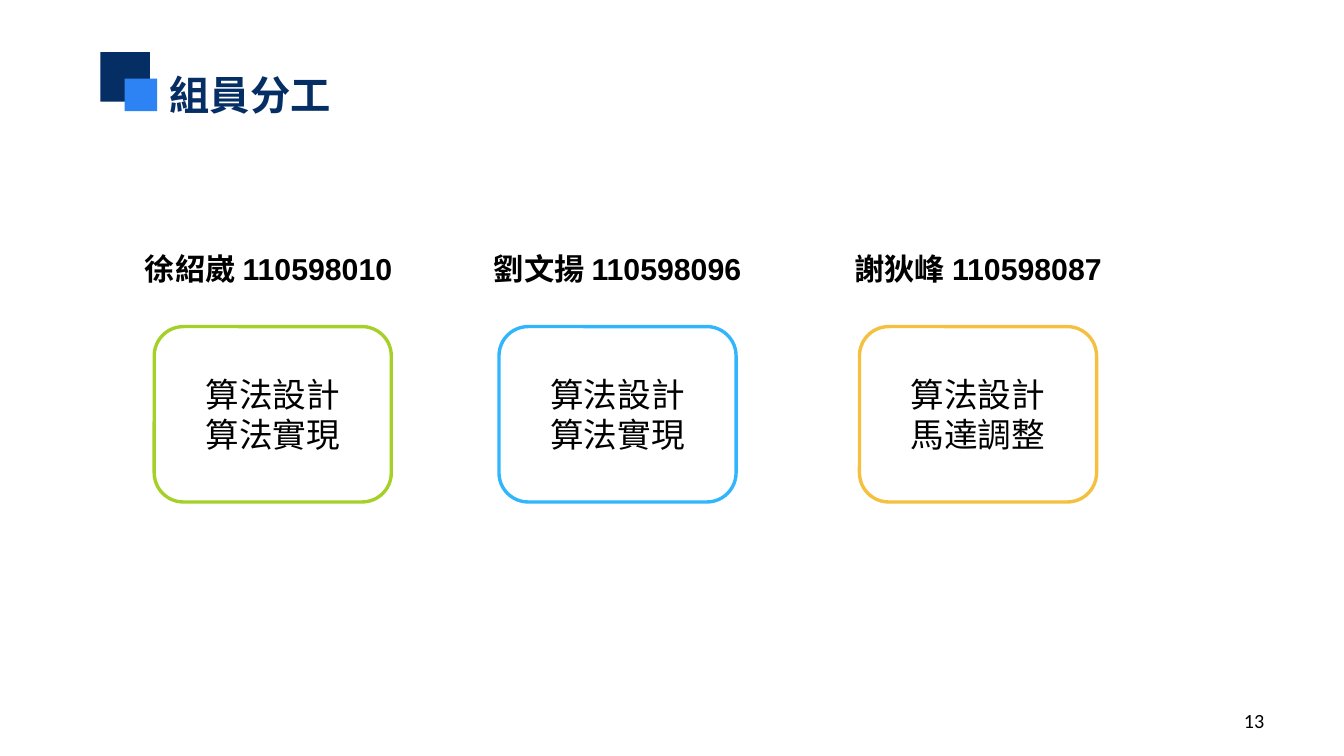
import pptx
import pptx.dml.color
import pptx.enum.shapes
import pptx.enum.text
import pptx.oxml.ns
import pptx.util
from lxml import etree

Inches = pptx.util.Inches
ALIGN = pptx.enum.text.PP_ALIGN
ANCHOR = pptx.enum.text.MSO_ANCHOR
SHAPES = pptx.enum.shapes.MSO_SHAPE
EAST_ASIAN_FONT = "Noto Sans CJK SC"
NAVY, BLUE, WHITE, BLACK = "052E65", "2D83F4", "FFFFFF", "000000"


def color(value):
    """Turn a hex string into a colour."""
    return pptx.dml.color.RGBColor.from_string(value)


def write(shape, text, size, font, ink=BLACK, bold=False,
          align=ALIGN.LEFT, anchor=ANCHOR.TOP, before=0):
    """Fill a shape with one formatted paragraph."""
    frame = shape.text_frame
    frame.text = text
    frame.word_wrap = True
    frame.vertical_anchor = anchor
    paragraph = frame.paragraphs[0]
    paragraph.alignment = align
    paragraph.space_before = pptx.util.Pt(before)
    for run in paragraph.runs:
        run.font.size = pptx.util.Pt(size)
        run.font.bold = bold
        run.font.color.rgb = color(ink)
        run.font.name = font
        properties = run.font._element
        etree.SubElement(properties, pptx.oxml.ns.qn("a:ea"), typeface=EAST_ASIAN_FONT)


def add_box(slide, kind, left, top, width, height, fill, line=None):
    """Add a flat preset shape with an optional outline."""
    shape = slide.shapes.add_shape(
        kind, Inches(left), Inches(top), Inches(width), Inches(height))
    shape.shadow.inherit = False
    shape.fill.solid()
    shape.fill.fore_color.rgb = color(fill)
    if line:
        shape.line.color.rgb = color(line)
        shape.line.width = pptx.util.Pt(2)
    else:
        shape.line.fill.background()
    return shape


def add_text(slide, left, top, width, height, text, **style):
    """Add a wrapped text box."""
    shape = slide.shapes.add_textbox(
        Inches(left), Inches(top), Inches(width), Inches(height))
    write(shape, text, **style)


def add_header(slide, left, top, text):
    """Place the two squares and the title beside them."""
    title = slide.shapes.title
    title.left, title.top = Inches(left + 0.47), Inches(top + 0.1)
    title.width, title.height = Inches(5.35), Inches(0.5)
    write(title, text, 24, EAST_ASIAN_FONT, NAVY, bold=True)
    add_box(slide, SHAPES.RECTANGLE, left, top, 0.41, 0.41, NAVY)
    add_box(slide, SHAPES.RECTANGLE, left + 0.2, top + 0.22, 0.27, 0.27, BLUE)


def add_member(slide, left, top, width, name, tasks, accent):
    """Place a member's name above a centred card of tasks."""
    card_width = 1.96
    add_text(slide, left, top, width, 0.4, name, size=18, font="Arial",
             bold=True, align=ALIGN.CENTER, before=6)
    card = add_box(slide, SHAPES.ROUNDED_RECTANGLE, left + (width - card_width) / 2,
                   top + 0.68, card_width, 1.45, WHITE, accent)
    write(card, "\v".join(tasks), 20, "Calibri", align=ALIGN.CENTER,
          anchor=ANCHOR.MIDDLE, before=6)


def build_team_slide(presentation):
    """Build the slide that shows who does what."""
    slide = presentation.slides.add_slide(presentation.slide_layouts[5])
    slide.background.fill.solid()
    slide.background.fill.fore_color.rgb = color(WHITE)
    add_header(slide, 0.83, 0.43, "組員分工")
    members = [
        (0.83, "徐紹崴 110598010 ", ("算法設計", "算法實現"), "A5D028"),
        (3.68, "劉文揚 110598096", ("算法設計", "算法實現"), "31B6FD"),
        (6.66, "謝狄峰 110598087", ("算法設計", "馬達調整"), "F5C040"),
    ]
    for left, name, tasks, accent in members:
        add_member(slide, left, 2.02, 2.85, name, tasks, accent)
    add_text(slide, 7.96, 5.79, 2.59, 0.33, "13", size=12, font="Calibri",
             align=ALIGN.RIGHT, anchor=ANCHOR.MIDDLE)


presentation = pptx.Presentation()
presentation.slide_width = Inches(11.11)
presentation.slide_height = Inches(6.25)
build_team_slide(presentation)
presentation.save("out.pptx")
